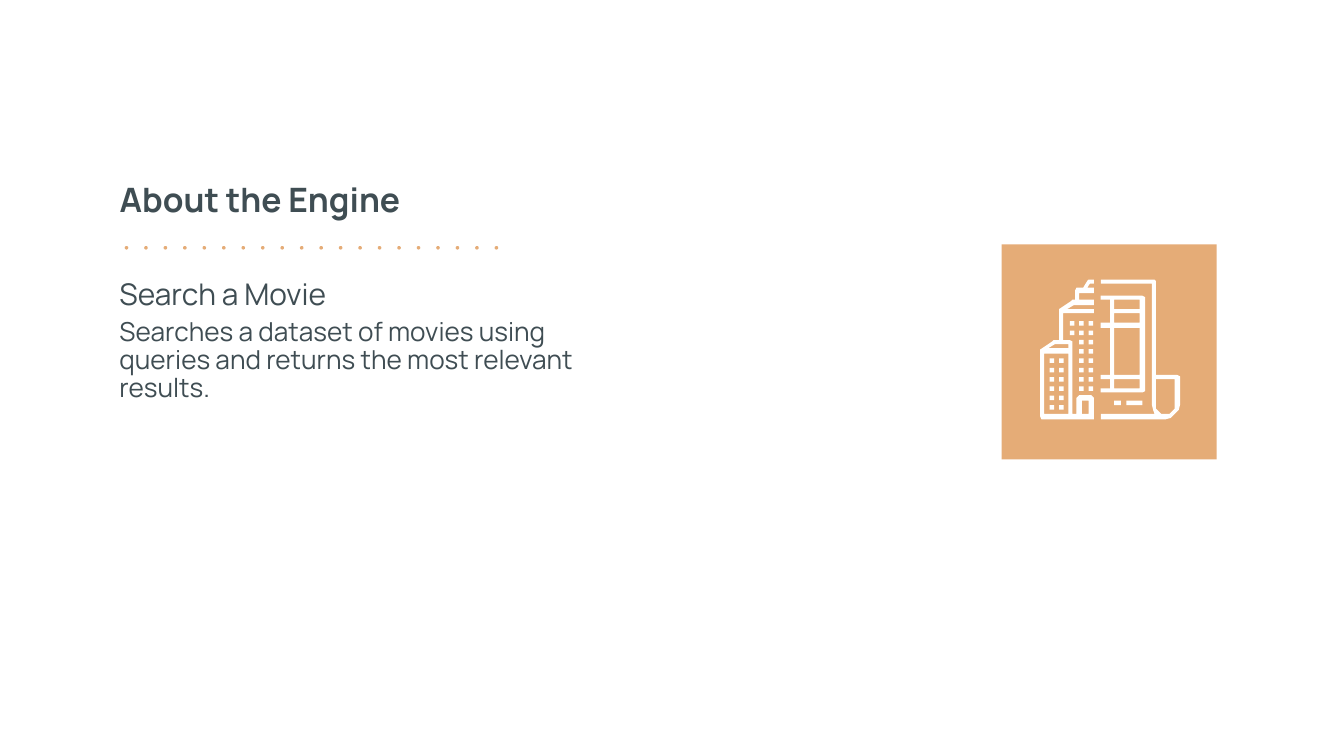
"""Build the "About the Engine" slide with its text column and blueprint icon."""

from pptx import Presentation
from pptx.dml.color import RGBColor
from pptx.enum.shapes import MSO_SHAPE
from pptx.enum.text import MSO_ANCHOR, PP_ALIGN
from pptx.util import Pt

SLATE = RGBColor(0x3F, 0x4D, 0x53)
ORANGE = RGBColor(0xE5, 0xAC, 0x77)
WHITE = RGBColor(0xFF, 0xFF, 0xFF)
FONT = "Manrope"

HEADING = "About the Engine"
FEATURE = "Search a Movie"
DESCRIPTION = ("Searches a dataset of movies using queries "
               "and returns the most relevant results.")

TEXT_LEFT = 56.9
DOT_COUNT, DOT_LEFT, DOT_TOP, DOT_PITCH, DOT_SIZE = 20, 66.8, 131.8, 10.43, 1.9

ICON_LEFT, ICON_TOP, ICON_UNIT = 557.3, 149.8, 0.72
WINDOW_SIZE, WINDOW_TOP, WINDOW_PITCH = 3.4, 31, 6.93
WINDOW_ROWS = {7: range(4, 10), 14: range(4, 10),
               22: range(2), 29: range(8), 36: range(8)}
CAPTION_TOP = 90
CAPTION_DASHES = [(55, 5), (64, 12)]


def box(left, top, right, bottom):
    """Return the corners of a rectangular contour."""
    return [(left, top), (right, top), (right, bottom), (left, bottom)]


BUILDINGS = [
    [(36, 0), (35, 1), (32, 6), (27, 6), (26, 8), (26, 15), (24, 15), (23, 16),
     (14, 22), (14, 45), (10, 45), (9, 45.5), (0, 52), (0, 102), (1, 103.5),
     (40, 103.5), (40, 88), (38, 86), (29, 86), (27, 88), (27, 100), (24, 100),
     (24, 46), (22, 45), (17, 45), (17, 25), (40, 25), (40, 22), (20, 22),
     (25, 19), (40, 19), (40, 15), (29, 15), (29, 10), (40, 10), (40, 6),
     (35, 6), (37, 3), (40, 3), (40, 0)],
    [(21, 48), (21, 51), (6, 51), (11, 48)],
    box(3, 55, 21, 100),
    box(31, 90, 36, 100),
]
SCROLL = [
    [(45, 0), (45, 3), (83, 3), (83, 93), (83.5, 97), (85, 100), (45, 100),
     (45, 103.5), (93, 103.5), (97, 102.7), (100.5, 100.5), (103, 97), (104, 93),
     (104, 72), (102, 71), (86, 71), (86, 1), (85, 0)],
    [(100, 74), (100, 93), (99.5, 96), (98, 98), (96, 99.5), (93, 100),
     (90, 99.5), (88, 98), (86.5, 96), (86, 93), (86, 74)],
]
FLOOR_PLAN = [
    [(45, 12), (45, 15), (52, 15), (52, 32), (45, 32), (45, 36), (52, 36),
     (52, 71), (45, 71), (45, 74), (52, 74), (52, 81), (45, 81), (45, 84),
     (76, 84), (78, 83), (78, 13), (76, 12)],
    *[box(55, top, 74, bottom)
      for top, bottom in [(15, 22), (25, 32), (36, 71), (74, 81)]],
]


def paint(shape, color):
    shape.shadow.inherit = False
    shape.fill.solid()
    shape.fill.fore_color.rgb = color
    shape.line.fill.background()


def add_preset(shapes, preset, left, top, width, height, color):
    paint(shapes.add_shape(preset, Pt(left), Pt(top), Pt(width), Pt(height)), color)


def add_outline(shapes, contours):
    builder = shapes.build_freeform(*contours[0][0], scale=Pt(ICON_UNIT))
    builder.add_line_segments(contours[0][1:], close=True)
    for contour in contours[1:]:
        builder.move_to(*contour[0])
        builder.add_line_segments(contour[1:], close=True)
    paint(builder.convert_to_shape(Pt(ICON_LEFT), Pt(ICON_TOP)), WHITE)


def add_icon_block(shapes, x, y, width, height):
    add_preset(shapes, MSO_SHAPE.RECTANGLE,
               ICON_LEFT + x * ICON_UNIT, ICON_TOP + y * ICON_UNIT,
               width * ICON_UNIT, height * ICON_UNIT, WHITE)


def write(shape, text, size, bold=False, spacing=1.0):
    frame = shape.text_frame
    frame.word_wrap = True
    frame.vertical_anchor = MSO_ANCHOR.TOP
    frame.margin_left = frame.margin_right = Pt(7.2)
    frame.margin_top = frame.margin_bottom = Pt(7.2)
    paragraph = frame.paragraphs[0]
    paragraph.alignment = PP_ALIGN.LEFT
    paragraph.line_spacing = spacing
    run = paragraph.add_run()
    run.text = text
    run.font.name = FONT
    run.font.size = Pt(size)
    run.font.bold = bold
    run.font.color.rgb = SLATE


def main():
    presentation = Presentation()
    presentation.slide_width, presentation.slide_height = Pt(720), Pt(405)
    slide = presentation.slides.add_slide(presentation.slide_layouts[5])
    shapes = slide.shapes

    description = shapes.add_textbox(Pt(TEXT_LEFT), Pt(164.2), Pt(289.4), Pt(60.5))
    write(description, DESCRIPTION, 14, spacing=0.88)

    heading = shapes.title
    heading.left, heading.top = Pt(TEXT_LEFT), Pt(88.6)
    heading.width, heading.height = Pt(303.1), Pt(45.4)
    write(heading, HEADING, 18, bold=True)

    feature = shapes.add_textbox(Pt(TEXT_LEFT), Pt(140.4), Pt(289.4), Pt(38.2))
    write(feature, FEATURE, 16)

    add_preset(shapes, MSO_SHAPE.RECTANGLE, 536.6, 131, 115.2, 115.2, ORANGE)

    icon = shapes.add_group_shape().shapes
    for contours in (BUILDINGS, SCROLL, FLOOR_PLAN):
        add_outline(icon, contours)
    for x, rows in WINDOW_ROWS.items():
        for row in rows:
            add_icon_block(icon, x, WINDOW_TOP + row * WINDOW_PITCH,
                           WINDOW_SIZE, WINDOW_SIZE)
    for x, width in CAPTION_DASHES:
        add_icon_block(icon, x, CAPTION_TOP, width, WINDOW_SIZE)

    dots = shapes.add_group_shape().shapes
    for index in range(DOT_COUNT):
        add_preset(dots, MSO_SHAPE.OVAL, DOT_LEFT + index * DOT_PITCH, DOT_TOP,
                   DOT_SIZE, DOT_SIZE, ORANGE)

    presentation.save("out.pptx")


if __name__ == "__main__":
    main()
